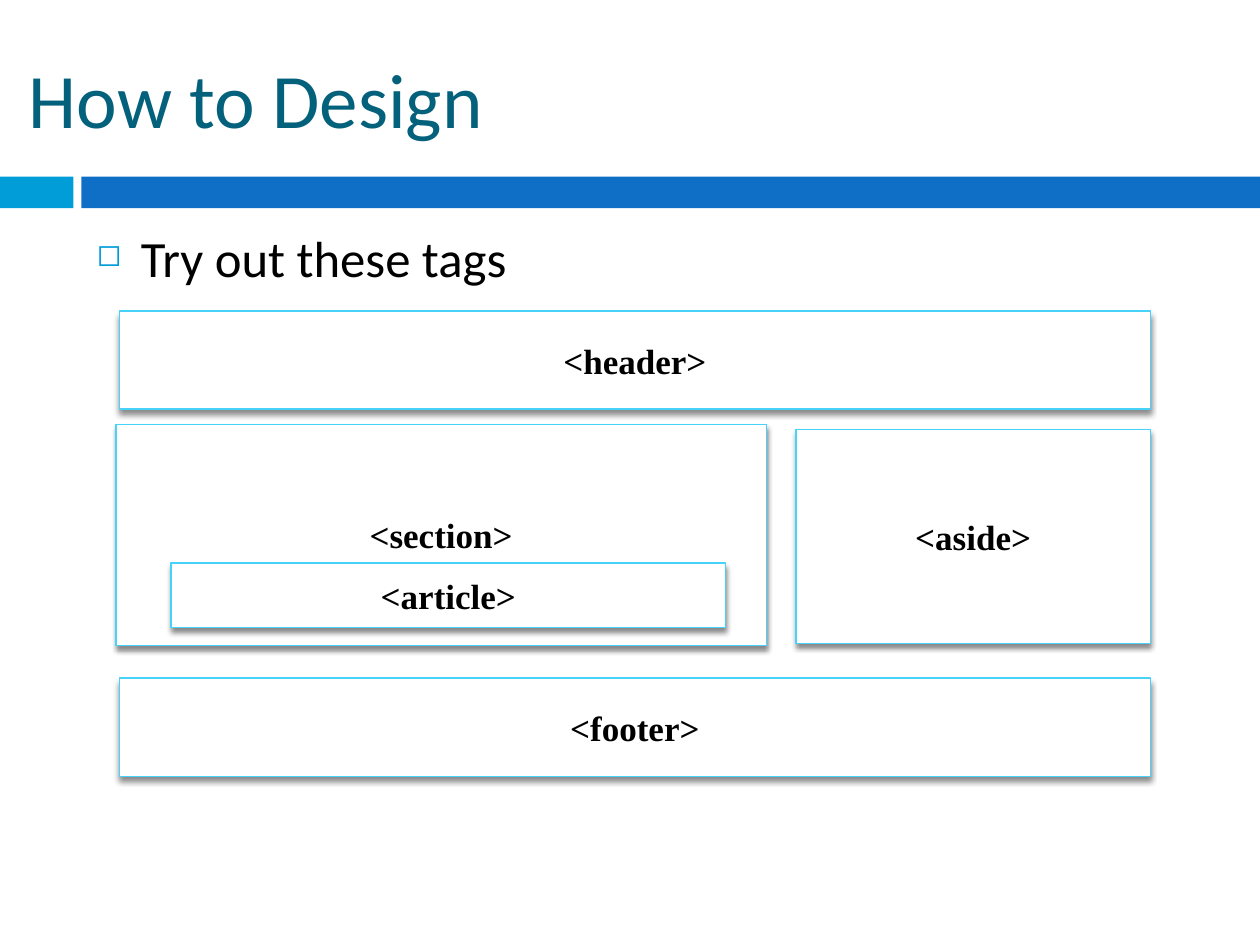
from lxml import etree
from pptx import Presentation
from pptx.dml.color import RGBColor
from pptx.enum.shapes import MSO_SHAPE
from pptx.enum.text import MSO_ANCHOR, PP_ALIGN
from pptx.oxml import parse_xml
from pptx.util import Cm, Pt

RECT = MSO_SHAPE.RECTANGLE
MIDDLE = MSO_ANCHOR.MIDDLE
CENTER = PP_ALIGN.CENTER
NS = "http://schemas.openxmlformats.org/drawingml/2006/main"
HUES = {"sky": "009DD9", "blue": "0F6FC6", "teal": "04617B",
        "edge": "46D2F9", "white": "FFFFFF", "black": "000000"}

deck = Presentation()
deck.slide_width, deck.slide_height = Cm(25.4), Cm(19.05)
slide = deck.slides.add_slide(deck.slide_layouts[6])


def add_rect(left, top, width, height, hue):
    box = slide.shapes.add_shape(RECT, Cm(left), Cm(top), Cm(width), Cm(height))
    box.shadow.inherit = False
    box.fill.solid()
    box.fill.fore_color.rgb = RGBColor.from_string(HUES[hue])
    box.line.fill.background()
    return box


def add_run(para, text, font, size, hue, bold=False):
    run = para.add_run()
    run.text = text
    run.font.name = font
    run.font.size = Pt(size)
    run.font.bold = bold
    run.font.color.rgb = RGBColor.from_string(HUES[hue])


# Band under the title
add_rect(0, 3.56, 1.48, 0.64, "sky")
add_rect(1.64, 3.56, 23.76, 0.64, "blue")

# Title
title = slide.shapes.add_textbox(Cm(0.33), Cm(0.99), Cm(25.4), Cm(1.96))
frame = title.text_frame
frame.word_wrap = True
frame.vertical_anchor = MIDDLE
add_run(frame.paragraphs[0], "How to Design", "Calibri", 44, "teal")

# Bullet line
body = slide.shapes.add_textbox(Cm(1.7), Cm(4.45), Cm(22.66), Cm(12.5))
frame = body.text_frame
frame.word_wrap = True
para = frame.paragraphs[0]
para.space_before = Pt(7)
add_run(para, "Try out these tags", "Calibri", 29, "black")
props = para._p.get_or_add_pPr()
props.set("marL", str(Cm(0.89)))
props.set("indent", str(-Cm(0.89)))
for mark in (f'<a:buClr xmlns:a="{NS}"><a:srgbClr val="{HUES["sky"]}"/></a:buClr>',
             f'<a:buSzPct xmlns:a="{NS}" val="60000"/>',
             f'<a:buChar xmlns:a="{NS}" char="◻"/>'):
    props.append(parse_xml(mark))

# Page layout boxes, from back to front
tags = [
    ("<header>", 2.41, 6.27, 20.78, 1.98),
    ("<footer>", 2.41, 13.67, 20.78, 1.98),
    ("<section>", 2.34, 8.56, 13.11, 4.45),
    ("<aside>", 16.05, 8.66, 7.14, 4.32),
    ("<article>", 3.45, 11.35, 11.18, 1.3),
]
for tag, left, top, width, height in tags:
    box = add_rect(left, top, width, height, "white")
    box.line.color.rgb = RGBColor.from_string(HUES["edge"])
    box.line.width = Pt(0.79)

    # Soft shadow straight below
    glow = box._element.spPr.find(f"{{{NS}}}effectLst")
    shade = etree.SubElement(glow, f"{{{NS}}}outerShdw", blurRad=str(Pt(3)),
                             dist=str(Pt(2.4)), dir="5400000", rotWithShape="0")
    tint = etree.SubElement(shade, f"{{{NS}}}srgbClr", val=HUES["black"])
    etree.SubElement(tint, f"{{{NS}}}alpha", val="45000")

    frame = box.text_frame
    frame.vertical_anchor = MIDDLE
    para = frame.paragraphs[0]
    para.alignment = CENTER
    add_run(para, tag, "Times New Roman", 20, "black", True)

deck.save("out.pptx")
